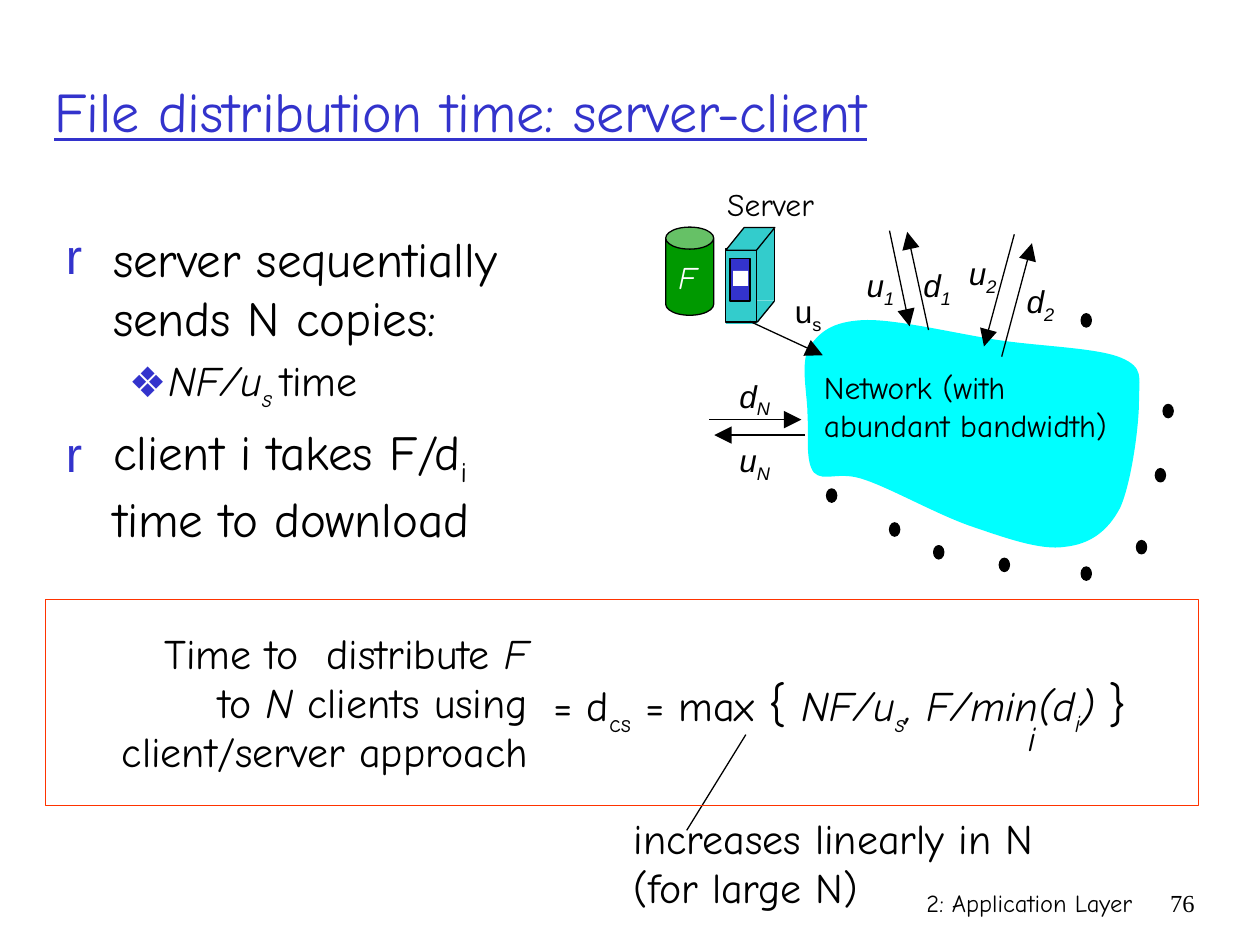
import pptx
import pptx.dml.color
import pptx.enum.shapes
import pptx.enum.text
import pptx.oxml.ns
import pptx.util
from lxml import etree

Pt = pptx.util.Pt
SHAPES = pptx.enum.shapes.MSO_SHAPE
ALIGN = pptx.enum.text.PP_ALIGN
ANCHOR = pptx.enum.text.MSO_ANCHOR
BLACK, WHITE, BLUE, TEAL = "000000", "FFFFFF", "3333CC", "33CCCC"
ITALIC = {"italic": True}
SUB = {"baseline": -25000}
ITALIC_SUB = {**ITALIC, **SUB}
XML_FORMATS = {"baseline": "baseline", "spacing": "spc"}


def color(value):
    """Return the RGB colour for a hex string."""
    return pptx.dml.color.RGBColor.from_string(value)


def add_child(parent, tag, **attributes):
    """Append a DrawingML element and return it."""
    return etree.SubElement(parent, pptx.oxml.ns.qn(tag), attributes)


class SlideBuilder:
    """Draws styled elements on the current slide."""

    def __init__(self, slide):
        self.slide = slide
        self.font = "Comic Neue"
        self.line_width = Pt(0.75)

    def paint(self, shape, fill, line):
        """Set the fill and outline of a shape."""
        shape.shadow.inherit = False
        if fill:
            shape.fill.solid()
            shape.fill.fore_color.rgb = color(fill)
        else:
            shape.fill.background()
        if line:
            shape.line.color.rgb = color(line)
            shape.line.width = self.line_width
        else:
            shape.line.fill.background()

    def shape(self, kind, box, fill=None, line=BLACK, adjustment=None):
        """Add a preset shape."""
        shape = self.slide.shapes.add_shape(kind, *map(Pt, box))
        if adjustment is not None:
            shape.adjustments[0] = adjustment
        self.paint(shape, fill, line)

    def curve(self, points, fill):
        """Add a closed outline of cubic curves: a start, then three points for each curve."""
        scale = 100
        scaled = [(round(x * scale), round(y * scale)) for x, y in points]
        builder = self.slide.shapes.build_freeform(*scaled[0], scale=Pt(1) / scale)
        builder.add_line_segments(scaled[1:], close=True)
        shape = builder.convert_to_shape()
        segments = list(shape._element.iter(pptx.oxml.ns.qn("a:lnTo")))
        for index in range(0, len(points) - 1, 3):
            bezier = etree.Element(pptx.oxml.ns.qn("a:cubicBezTo"))
            segments[index].addprevious(bezier)
            for segment in segments[index:index + 3]:
                bezier.append(segment[0])
                segment.getparent().remove(segment)
        self.paint(shape, fill, None)

    def line(self, start, end, arrow=None):
        """Add a straight line, with an arrowhead at its headEnd or tailEnd if named."""
        kind = pptx.enum.shapes.MSO_CONNECTOR.STRAIGHT
        connector = self.slide.shapes.add_connector(kind, *map(Pt, start + end))
        connector.line.color.rgb = color(BLACK)
        connector.line.width = self.line_width
        if arrow:
            add_child(connector.line._get_or_add_ln(), f"a:{arrow}", type="triangle", w="lg", len="lg")
        add_child(connector._element.spPr, "a:effectLst")

    def text(self, box, paragraphs, size, wrap=True, anchor=ANCHOR.TOP, fill=BLACK, **layout):
        """Add a text box; each paragraph is a list of runs with their formats."""
        frame = self.slide.shapes.add_textbox(*map(Pt, box)).text_frame
        frame.word_wrap = wrap
        frame.vertical_anchor = anchor
        for index, runs in enumerate(paragraphs):
            paragraph = frame.paragraphs[0] if index == 0 else frame.add_paragraph()
            values = dict(layout)
            if index == 0:
                values.pop("space_before", None)
            for name, value in values.items():
                setattr(paragraph, name, value)
            self.runs(paragraph, runs, size, fill)
        return frame

    def runs(self, paragraph, runs, size, fill):
        """Add formatted runs to a paragraph."""
        for text, changes in runs:
            run = paragraph.add_run()
            run.text = text
            for name, value in {"name": self.font, "size": Pt(size), **changes}.items():
                if name in XML_FORMATS:
                    run._r.get_or_add_rPr().set(XML_FORMATS[name], str(value))
                else:
                    setattr(run.font, name, value)
            run.font.color.rgb = color(fill)

    def bullet(self, paragraph, character, left, hanging, level=0):
        """Give a paragraph a hanging bullet."""
        paragraph.level = level
        properties = paragraph._p.get_or_add_pPr()
        properties.set("marL", str(Pt(left)))
        properties.set("indent", str(-Pt(hanging)))
        add_child(add_child(properties, "a:buClr"), "a:srgbClr", val=BLUE)
        add_child(properties, "a:buFont", typeface="Arial")
        add_child(properties, "a:buChar", char=character)

    def rate(self, letter, index, left, top, width, italic=True):
        """Add a rate symbol with its subscript."""
        formats = {"name": "Arial", "italic": italic}
        runs = [(letter, formats), (index, {**formats, **SUB})]
        self.text((left, top, width, 28.8), [runs], 18, wrap=False)


def draw_network(builder):
    """Draw the server, the network and its clients."""
    builder.curve([
        (493.9, 182.9), (475.2, 183.6), (468, 190.1), (462.2, 198.7),
        (457.2, 208.1), (461.5, 225.4), (461.5, 237.6),
        (462.2, 249.1), (460.1, 263.5), (465.1, 270),
        (470.9, 275.8), (479.5, 268.6), (494.6, 274.3),
        (509.8, 279.4), (536.4, 294.5), (555.8, 301),
        (574.6, 307.4), (594.7, 314.6), (608.4, 312.5),
        (622.8, 311), (632.9, 303.8), (640.1, 290.2),
        (646.6, 275.8), (650.9, 243.4), (650.9, 229),
        (650.9, 215.3), (653.8, 210.2), (640.8, 204.5),
        (627.1, 198.7), (595.4, 198), (571, 194.4),
        (547.2, 190.8), (511.9, 182.2), (493.9, 182.9),
    ], "00FFFF")

    builder.shape(SHAPES.PARALLELOGRAM, (414.7, 172, 28.1, 13), TEAL, None, 0.81)
    builder.shape(SHAPES.RECTANGLE, (429.1, 130, 13.3, 41.8), TEAL, None)
    builder.shape(SHAPES.RECTANGLE, (414.7, 142.3, 17.5, 41.8), TEAL)
    builder.shape(SHAPES.PARALLELOGRAM, (414.7, 130, 28.1, 13), TEAL, BLACK, 0.81)
    builder.line((442.5, 131), (442.5, 172.1))
    builder.line((442.5, 172.1), (432.7, 184.1))
    builder.shape(SHAPES.RECTANGLE, (417.1, 147.6, 11.5, 24.5), BLUE)
    builder.shape(SHAPES.RECTANGLE, (419, 154.8, 8.6, 8.6), WHITE, None)

    for start, end, arrow in [
        ((428.4, 183.6), (470.2, 203), "tailEnd"),
        ((518.4, 132.5), (530.6, 188.6), "headEnd"),
        ((519.8, 186.5), (508.3, 131.8), "headEnd"),
        ((562.3, 198), (579.6, 133.9), "headEnd"),
        ((589.7, 139), (572.4, 203.8), "headEnd"),
        ((405.4, 239.8), (457.9, 239.8), "tailEnd"),
        ((460.1, 248.6), (408.2, 248.6), "tailEnd"),
    ]:
        builder.line(start, end, arrow)

    builder.rate("u", "s", 447.1, 163.4, 30.2, italic=False)
    for letter, index, left, top, width in [
        ("u", "2", 546.5, 141.8, 43.9), ("d", "1", 520.6, 148.3, 31.7),
        ("d", "2", 579.6, 157.7, 31.7), ("u", "1", 488.2, 148.3, 40.3),
        ("u", "N", 415.4, 248.4, 40.3), ("d", "N", 415.4, 211.7, 41.8),
    ]:
        builder.rate(letter, index, left, top, width)

    for left, top in [(472.3, 279.4), (508.3, 298.8), (533.5, 311.8), (649.4, 308.9), (660.2, 267.8),
                      (617.8, 179.3), (664.6, 231.1), (571, 319), (617.8, 324)]:
        builder.shape(SHAPES.OVAL, (left, top, 5.8, 7.6), BLACK)

    builder.text((400.3, 102.2, 79.9, 28.8), [[("Server", {})]], 18, alignment=ALIGN.CENTER)
    builder.text((463.7, 206.8, 189.4, 50.4), [[("Network (with", {})], [("abundant bandwidth)", {})]], 18)
    builder.shape(SHAPES.CAN, (380.4, 129.8, 27.4, 50.4), "009900", BLACK, 0.46)
    builder.text((376.6, 144, 32.4, 28.8), [[("F", ITALIC)]], 18, fill=WHITE, alignment=ALIGN.CENTER)


def draw_points(builder):
    """Draw the bulleted statements."""
    small = {"size": Pt(24)}
    frame = builder.text((30.5, 127, 295.9, 365.8), [
        [("server sequentially sends N copies:", {})],
        [("NF/u", {**ITALIC, **small}), ("s ", {**ITALIC_SUB, **small}), ("time", small)],
        [("client i takes F/d", {}), ("i ", SUB), ("time to download", {})],
    ], 28)
    marks = [("r", 27, 27, 0, 0), ("❖", 58.5, 22.5, 1, 4.8), ("r", 27, 27, 0, 5.6)]
    for paragraph, (character, left, hanging, level, gap) in zip(frame.paragraphs, marks):
        builder.bullet(paragraph, character, left, hanging, level)
        if gap:
            paragraph.space_before = Pt(gap)


def draw_formula(builder):
    """Draw the framed formula and its remark."""
    tight = {"line_spacing": 0.8, "space_before": Pt(4.8)}
    large = {"size": Pt(28)}
    builder.line((392.4, 474.5), (426.2, 419.8))
    builder.text((355, 466.4, 261.4, 59), [[("increases linearly in N", {})], [("(for large N)", {})]], 24, **tight)
    builder.text((309.2, 380.9, 358.6, 41), [[
        ("= d", {}), ("cs", SUB), (" = max ", {}), ("{", large), (" ", {}),
        ("NF/u", ITALIC), ("s", ITALIC_SUB), (", F/min(d", ITALIC), ("i", ITALIC_SUB), (") ", ITALIC), ("}", large),
    ]], 24)
    builder.text((580.3, 406.1, 20.2, 31), [[("i", ITALIC)]], 20, wrap=False)
    builder.text((40.3, 360.7, 276.5, 87.8), [
        [("Time to", {}), (" ", {"spacing": 800}), ("distribute ", {}), ("F ", ITALIC)],
        [("to ", {}), ("N", ITALIC), (" clients using ", {})],
        [("client/server approach ", {})],
    ], 24, alignment=ALIGN.RIGHT, **tight)
    builder.shape(SHAPES.RECTANGLE, (25.9, 342.7, 659, 117.8), None, "FF3300")


def main():
    """Build and save the presentation."""
    presentation = pptx.Presentation()
    presentation.slide_width, presentation.slide_height = Pt(720), Pt(540)
    builder = SlideBuilder(presentation.slides.add_slide(presentation.slide_layouts[6]))
    builder.text((426, 504, 228.2, 36), [[("2: Application Layer", {})]], 14, alignment=ALIGN.RIGHT)
    builder.text((653.8, 504, 36, 36), [[("76", {"name": "Times New Roman"})]], 14, alignment=ALIGN.RIGHT)
    title = [("File distribution time: server-client", {"underline": True})]
    builder.text((23.8, 18, 671, 90), [title], 32, anchor=ANCHOR.MIDDLE, fill=BLUE)
    draw_network(builder)
    draw_points(builder)
    draw_formula(builder)
    presentation.save("out.pptx")


if __name__ == "__main__":
    main()
